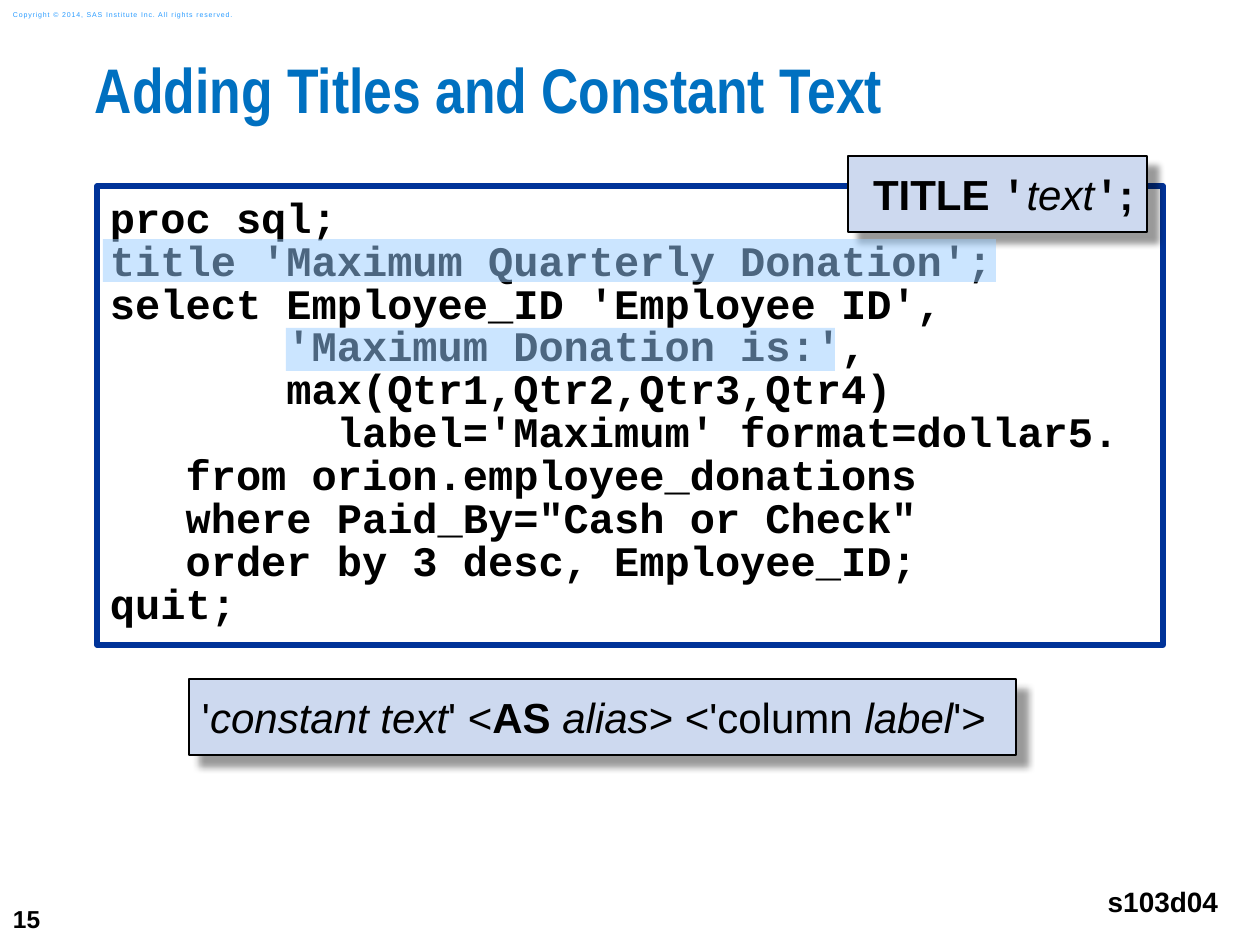
from lxml import etree
from pptx import Presentation
from pptx import util as u
from pptx.dml.color import RGBColor
from pptx.enum import shapes, text
from pptx.oxml.ns import qn

COLORS = {
    "title": "0070C0", "ink": "000000", "copyright": "2A9CFF", "paper": "FFFFFF",
    "frame": "003399", "syntax": "CDD9EF", "highlight": "99CCFF",
}
CODE = """proc sql;
title 'Maximum Quarterly Donation';
select Employee_ID 'Employee ID',
       'Maximum Donation is:',
       max(Qtr1,Qtr2,Qtr3,Qtr4)
         label='Maximum' format=dollar5.
   from orion.employee_donations
   where Paid_By="Cash or Check"
   order by 3 desc, Employee_ID;
quit;"""
CONSTANT_SYNTAX = [
    ("'", ""), ("constant text", "i"), ("' <", ""), ("AS ", "b"), ("alias", "i"),
    ("> <'column", ""), (" label", "i"), ("'>", ""),
]
TITLE_SYNTAX = [("TITLE ", "b"), ("'", "bm"), ("text", "i"), ("'", "bm"), (";", "b")]


def px(n):
    """Convert pixels at 126 to the inch into EMU."""
    return u.Emu(round(n * 914400 / 126))


def rgb(name):
    """Look up a named colour."""
    return RGBColor.from_string(COLORS[name])


def place(sp, box):
    """Set left, top, width and height in pixels."""
    sp.left, sp.top, sp.width, sp.height = map(px, box)


def set_frame(sp, insets, anchor=text.MSO_ANCHOR.TOP):
    """Set the left, top, right and bottom insets, wrapping and anchor."""
    tf = sp.text_frame
    tf.margin_left, tf.margin_top, tf.margin_right, tf.margin_bottom = map(px, insets)
    tf.word_wrap = True
    tf.auto_size = text.MSO_AUTO_SIZE.NONE
    tf.vertical_anchor = anchor
    return tf


def set_font(p, size, color="ink", name="Arial", bold=None, align=text.PP_ALIGN.LEFT):
    """Format a whole paragraph."""
    p.alignment = align
    f = p.font
    f.name, f.size, f.bold = name, u.Pt(size), bold
    f.color.rgb = rgb(color)


def add_title(s, words, box):
    """Move and format the title placeholder."""
    sp = s.shapes.title
    place(sp, box)
    tf = set_frame(sp, (0, 0, 0, 0))
    tf.text = words
    p = tf.paragraphs[0]
    p.line_spacing = 0.83
    set_font(p, 36, "title", "Arial Narrow", True)


def add_label(s, words, box, insets, anchor=text.MSO_ANCHOR.MIDDLE, **font):
    """Add a one-line text box."""
    sp = s.shapes.add_textbox(*map(px, box))
    tf = set_frame(sp, insets, anchor)
    tf.text = words
    p = tf.paragraphs[0]
    set_font(p, **font)
    return p


def add_box(s, box, fill, line=None, width=0):
    """Add a flat rectangle, outlined if a line colour is given."""
    sp = s.shapes.add_shape(shapes.MSO_SHAPE.RECTANGLE, *map(px, box))
    sp.shadow.inherit = False
    sp.fill.solid()
    sp.fill.fore_color.rgb = rgb(fill)
    if line:
        sp.line.color.rgb = rgb(line)
        sp.line.width = u.Pt(width)
    else:
        sp.line.fill.background()
    return sp


def add_code(s, code, box):
    """Add the framed program listing."""
    sp = add_box(s, box, "paper", "frame", 3)
    tf = set_frame(sp, (13, 13, 36, 13))
    tf.text = code
    for p in tf.paragraphs:
        p.line_spacing = 0.85
        set_font(p, 24, name="Courier New", bold=True)


def add_syntax(s, runs, box, left=13):
    """Add a shadowed syntax box with bold, italic and monospaced runs."""
    sp = add_box(s, box, "syntax", "ink", 1.5)
    effects = sp._element.spPr.find(qn("a:effectLst"))
    shadow = etree.SubElement(effects, qn("a:outerShdw"), blurRad=str(u.Pt(4)),
                              dist=str(u.Pt(8.5)), dir="2700000", algn="tl", rotWithShape="0")
    color = etree.SubElement(shadow, qn("a:srgbClr"), val=COLORS["ink"])
    etree.SubElement(color, qn("a:alpha"), val="40000")
    p = set_frame(sp, (left, 13, 0, 13)).paragraphs[0]
    set_font(p, 24)
    for words, style in runs:
        r = p.add_run()
        r.text = words
        r.font.bold = "b" in style
        r.font.italic = "i" in style
        if "m" in style:
            r.font.name = "Courier New"


def add_highlight(s, box):
    """Add a half-transparent marker over a piece of code."""
    sp = add_box(s, box, "highlight")
    color = sp._element.spPr.find(qn("a:solidFill"))[0]
    etree.SubElement(color, qn("a:alpha"), val="50000")


def main():
    """Build the slide and save it."""
    prs = Presentation()
    prs.slide_width, prs.slide_height = px(1260), px(945)
    s = prs.slides.add_slide(prs.slide_layouts[5])
    add_label(s, "15", (0, 892, 73, 53), (13, 6, 13, 6), size=14, bold=True)
    p = add_label(s, "Copyright © 2014, SAS Institute Inc. All rights reserved.",
                  (0, 4, 266, 21), (13, 6, 13, 6), size=4, color="copyright")
    p.runs[0].font._element.set("spc", "50")
    add_title(s, "Adding Titles and Constant Text", (95, 63, 1165, 94))
    add_label(s, "s103d04", (1096, 872, 135, 58), (0, 13, 13, 13), text.MSO_ANCHOR.TOP,
              size=16, bold=True, align=text.PP_ALIGN.RIGHT)
    add_syntax(s, CONSTANT_SYNTAX, (189, 679, 827, 76))
    add_code(s, CODE, (97, 186, 1066, 459))
    add_syntax(s, TITLE_SYNTAX, (848, 156, 299, 76), left=25)
    add_highlight(s, (103, 239, 893, 43))
    add_highlight(s, (286, 328, 549, 43))
    prs.save("out.pptx")


if __name__ == "__main__":
    main()
